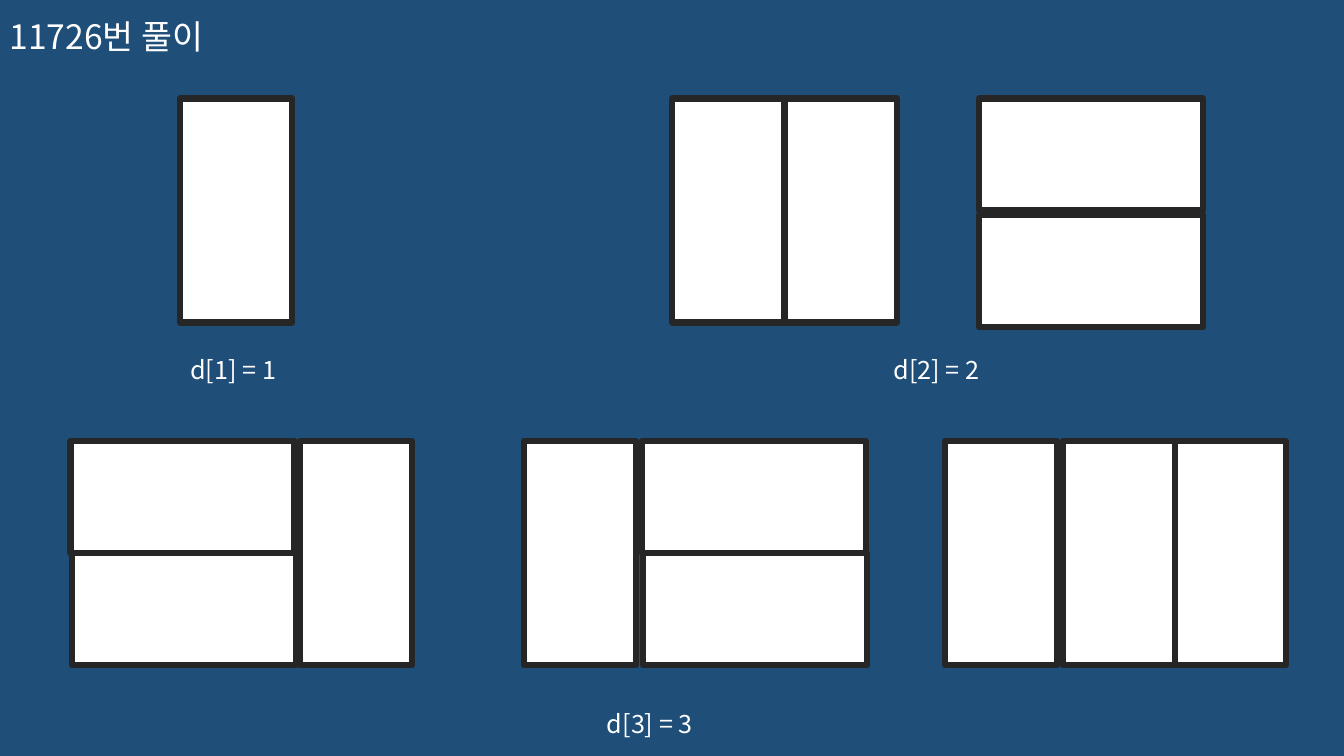
from dataclasses import dataclass

from lxml import etree
from pptx import Presentation
from pptx.dml.color import RGBColor
from pptx.enum.shapes import MSO_SHAPE
from pptx.enum.text import MSO_ANCHOR, MSO_AUTO_SIZE, PP_ALIGN
from pptx.oxml.ns import qn
from pptx.slide import Slide
from pptx.text.text import TextFrame
from pptx.util import Inches, Pt

RECT = MSO_SHAPE.RECTANGLE
TOP = MSO_ANCHOR.TOP
GROW = MSO_AUTO_SIZE.SHAPE_TO_FIT_TEXT
LEFT, CENTER = PP_ALIGN.LEFT, PP_ALIGN.CENTER

WIDE, HIGH = Inches(13.33), Inches(7.5)
COL, ROW = WIDE / 12, HIGH / 6.75
FONT = "Noto Sans CJK KR"
COLORS = {"back": "1F4E79", "tile": "FFFFFF", "edge": "262626", "text": "FFFFFF"}


@dataclass
class Tile:
    col: float
    row: float
    flat: bool = False


@dataclass
class Board:
    col: float
    row: float
    tiles: list[Tile]


@dataclass
class Label:
    col: float
    row: float
    text: str


UPPER, LOWER = 0.88, 3.94
BOARDS = [
    Board(1.61, UPPER, [Tile(0, 0)]),
    Board(6, UPPER, [Tile(0, 0), Tile(1.01, 0)]),
    Board(8.74, UPPER, [Tile(0, 1.04, True), Tile(0, 0, True)]),
    Board(0.63, LOWER, [Tile(0, 0, True), Tile(0.01, 1, True), Tile(2.05, 0)]),
    Board(4.68, LOWER, [Tile(1.05, 0, True), Tile(1.06, 1, True), Tile(0, 0)]),
    Board(8.44, LOWER, [Tile(2.04, 0), Tile(1.05, 0), Tile(0, 0)]),
]
LABELS = [
    Label(1.61, 3.12, "d[1] = 1"),
    Label(7.89, 3.12, "d[2] = 2"),
    Label(5.33, 6.28, "d[3] = 3"),
]


def color(name: str) -> RGBColor:
    return RGBColor.from_string(COLORS[name])


def write(frame: TextFrame, text: str, size: int, align: PP_ALIGN, wrap: bool) -> None:
    frame.text = text
    frame.word_wrap = wrap
    frame.auto_size = GROW
    frame.vertical_anchor = TOP
    line = frame.paragraphs[0]
    line.alignment = align
    for run in line.runs:
        run.font.size = Pt(size)
        run.font.name = FONT
        run.font.color.rgb = color("text")
        etree.SubElement(run.font._element, qn("a:ea")).set("typeface", FONT)


def draw_title(slide: Slide, text: str) -> None:
    title = slide.shapes.title
    title.left, title.top = round(-0.01 * COL), round(0.1 * ROW)
    title.width, title.height = round(1.92 * COL), round(0.45 * ROW)
    write(title.text_frame, text, 24, CENTER, True)


def draw_tile(slide: Slide, board: Board, tile: Tile) -> None:
    shift = 0.5 if tile.flat else 0
    left = (board.col + tile.col + shift) * COL
    top = (board.row + tile.row - shift) * ROW
    shape = slide.shapes.add_shape(
        RECT, round(left), round(top), round(COL), round(2 * ROW)
    )
    shape.rotation = 90 if tile.flat else 0
    shape.shadow.inherit = False
    shape.fill.solid()
    shape.fill.fore_color.rgb = color("tile")
    shape.line.color.rgb = color("edge")
    shape.line.width = Pt(4.5)


def draw_label(slide: Slide, label: Label) -> None:
    box = slide.shapes.add_textbox(
        round(label.col * COL), round(label.row * ROW),
        round(0.97 * COL), round(0.36 * ROW),
    )
    write(box.text_frame, label.text, 18, LEFT, False)


def main() -> None:
    deck = Presentation()
    deck.slide_width, deck.slide_height = WIDE, HIGH
    slide = deck.slides.add_slide(deck.slide_layouts[5])
    slide.background.fill.solid()
    slide.background.fill.fore_color.rgb = color("back")
    draw_title(slide, "11726번 풀이")
    for board in BOARDS:
        for tile in board.tiles:
            draw_tile(slide, board, tile)
    for label in LABELS:
        draw_label(slide, label)
    deck.save("out.pptx")


if __name__ == "__main__":
    main()
